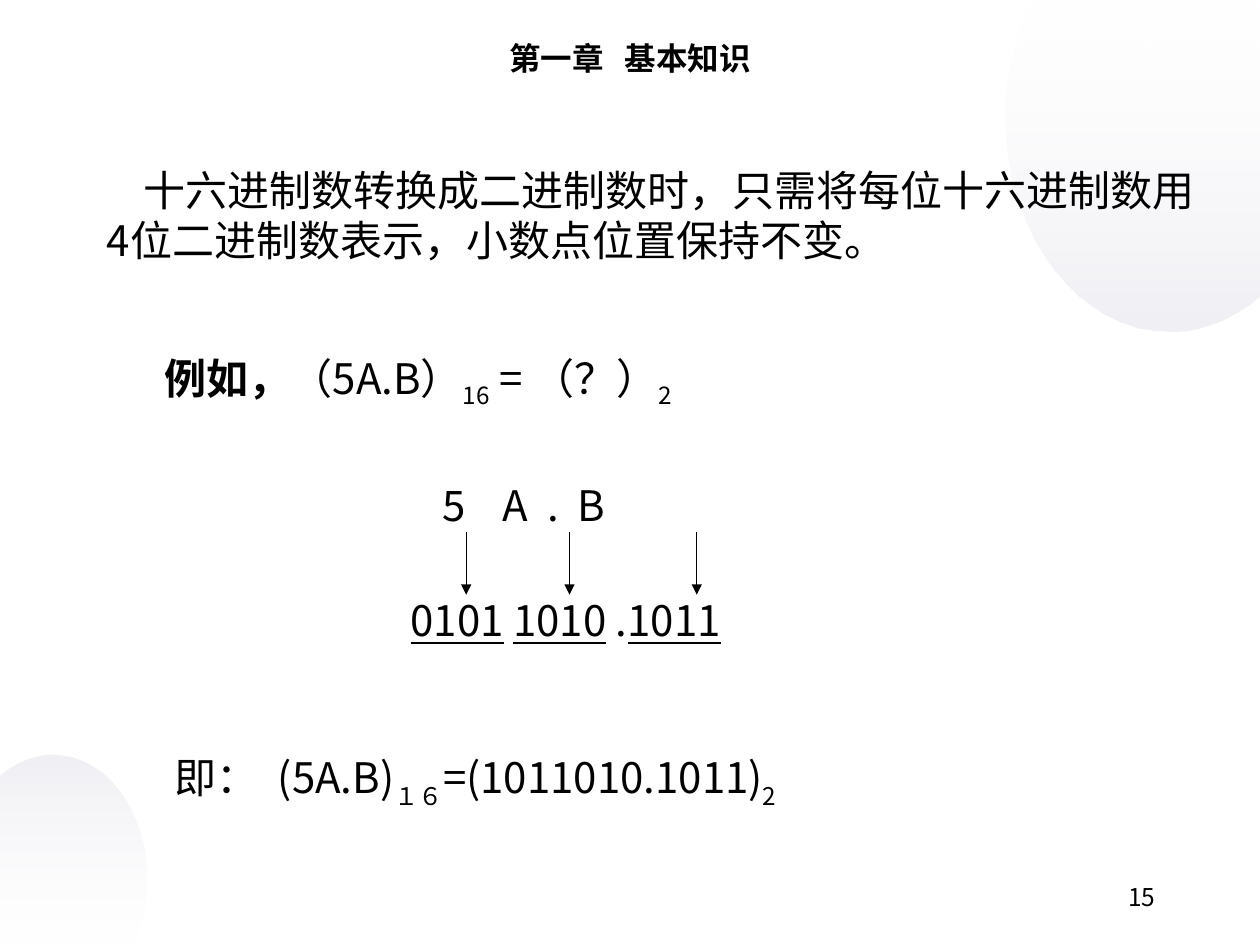
from lxml.etree import SubElement
from pptx import Presentation
from pptx.dml.color import RGBColor
from pptx.enum.shapes import MSO_CONNECTOR
from pptx.enum.text import MSO_ANCHOR, PP_ALIGN
from pptx.oxml.ns import qn
from pptx.util import Inches, Pt

WIDTH, HEIGHT = 10, 7.5
FONT = "Noto Sans CJK SC"
BLACK = "000000"
LINE_HEIGHT = 29

BALL_SIZE = (2.02, 2.63)
BALL_START = (0.21, 0)
BALL_EDGES = [
    [(2.02, 0)],
    [(2.02, 2.34)],
    [(1.92, 2.42)],
    [(1.73, 2.55), (1.52, 2.63), (1.3, 2.63)],
    [(0.58, 2.63), (0, 1.87), (0, 0.92)],
    [(0, 0.63), (0.06, 0.35), (0.16, 0.11)],
]
BALLS = [
    {"at": (7.98, 0, 2.02, 2.63), "rotation": 0},
    {"at": (0, 5.99, 1.16, 1.51), "rotation": 180},
]
BALL_STOPS = [("FFFFFF", 10), ("BEBED2", 24)]

WIDE_GAP = (" ", {"spc": 1610})
TITLE_GAP = (" ", {"spc": 800})
NARROW_GAP = (" ", {"spc": 540})
UNDERLINED = {"u": "sng"}

BODY = [
    {"at": (0.75, 1.25, 8.83, 0.91), "indent": 0.29, "runs": [
        ("十六进制数转换成二进制数时，只需将每位十六进制数用4位二进制数表示，小数点位置保持不变。", {})]},
    {"at": (0.92, 2.75, 8.83, 0.5), "indent": 0.29, "top": 0.1, "runs": [
        ("例如，", {"b": 1}), ("（5A.B）", {}), ("16", {"baseline": -25000}),
        (" = （？）", {}), ("2", {"baseline": -25000})]},
    {"at": (0.92, 5.92, 6.92, 0.5), "indent": 0.37, "top": 0.11, "runs": [
        ("即：", {}), NARROW_GAP, ("(5A.B)", {}), ("１６", {"baseline": -30000}),
        ("=(1011010.1011)", {}), ("2", {"baseline": -30000})]},
    {"at": (3.33, 3.75, 3.58, 0.5), "indent": 0.08, "runs": [
        ("5", {}), WIDE_GAP, ("A", {}), NARROW_GAP, (".", {}), NARROW_GAP, ("B", {})]},
    {"at": (3.08, 4.67, 3.58, 0.5), "indent": 0.08, "runs": [
        ("0101", UNDERLINED), (" ", {}), ("1010", UNDERLINED),
        (" .", {}), ("1011", UNDERLINED)]},
]
TITLE = {"at": (0.75, 0.17, 8.5, 0.58), "runs": [
    ("第一章", {}), TITLE_GAP, ("基本知识", {})]}
PAGE_NUMBER = {"at": (7.06, 6.99, 2.21, 0.26), "runs": [("15", {})]}

ARROW_COLUMNS = [3.7, 4.52, 5.53]
ARROW_TOP, ARROW_BOTTOM = 4.22, 4.72


def color(value):
    return RGBColor.from_string(value)


def add_ball(page, at, rotation):
    left, top, width, height = at

    def place(point):
        return (Inches(left + point[0] * width / BALL_SIZE[0]),
                Inches(top + point[1] * height / BALL_SIZE[1]))

    builder = page.shapes.build_freeform(*place(BALL_START))
    builder.add_line_segments([place(point) for edge in BALL_EDGES for point in edge])
    ball = builder.convert_to_shape()
    lines = iter(list(ball._element.iter(qn("a:lnTo"))))
    for edge in BALL_EDGES:
        group = [next(lines) for _ in edge]
        if len(group) == 3:
            group[0].tag = qn("a:cubicBezTo")
            for line in group[1:]:
                group[0].append(line[0])
                line.getparent().remove(line)
    ball.rotation = rotation
    ball.shadow.inherit = False
    ball.line.fill.background()
    ball.fill.gradient()
    ball.fill.gradient_angle = 270
    for stop, (value, _) in zip(ball.fill.gradient_stops, BALL_STOPS):
        stop.color.rgb = color(value)
    for tint, (_, opacity) in zip(ball._element.iter(qn("a:srgbClr")), BALL_STOPS):
        SubElement(tint, qn("a:alpha"), val=str(opacity * 1000))


def add_text(page, at, runs, size=24, align=PP_ALIGN.JUSTIFY, bold=False,
             indent=0, top=0.05, centered=False):
    box = page.shapes.add_textbox(*map(Inches, at))
    frame = box.text_frame
    frame.word_wrap = True
    para = frame.paragraphs[0]
    para.alignment = align
    if centered:
        frame.vertical_anchor = MSO_ANCHOR.MIDDLE
    else:
        frame.margin_top, frame.margin_bottom = Inches(top), 0
        para.line_spacing = Pt(LINE_HEIGHT)
    para.font.name = FONT
    para.font.size = Pt(size)
    para.font.color.rgb = color(BLACK)
    if bold:
        para.font.bold = True
    properties = para._p.get_or_add_pPr()
    properties.set("marL", "0")
    properties.set("indent", str(Inches(indent)))
    SubElement(properties.find(qn("a:defRPr")), qn("a:ea"), typeface=FONT)
    for words, style in runs:
        span = para.add_run()
        span.text = words
        for name, value in style.items():
            span._r.get_or_add_rPr().set(name, str(value))


def add_arrow(page, x):
    arrow = page.shapes.add_connector(
        MSO_CONNECTOR.STRAIGHT, *map(Inches, (x, ARROW_TOP, x, ARROW_BOTTOM)))
    arrow.line.width = Pt(0.75)
    arrow.line.color.rgb = color(BLACK)
    SubElement(arrow.line._get_or_add_ln(), qn("a:tailEnd"), type="triangle")
    SubElement(arrow._element.spPr, qn("a:effectLst"))


def main():
    deck = Presentation()
    deck.slide_width, deck.slide_height = Inches(WIDTH), Inches(HEIGHT)
    page = deck.slides.add_slide(deck.slide_layouts[6])
    for ball in BALLS:
        add_ball(page, **ball)
    add_text(page, **PAGE_NUMBER, size=14, align=PP_ALIGN.RIGHT, centered=True)
    for x in ARROW_COLUMNS:
        add_arrow(page, x)
    for text in BODY:
        add_text(page, **text)
    add_text(page, **TITLE, size=18, align=PP_ALIGN.CENTER, bold=True, centered=True)
    deck.save("out.pptx")


if __name__ == "__main__":
    main()
